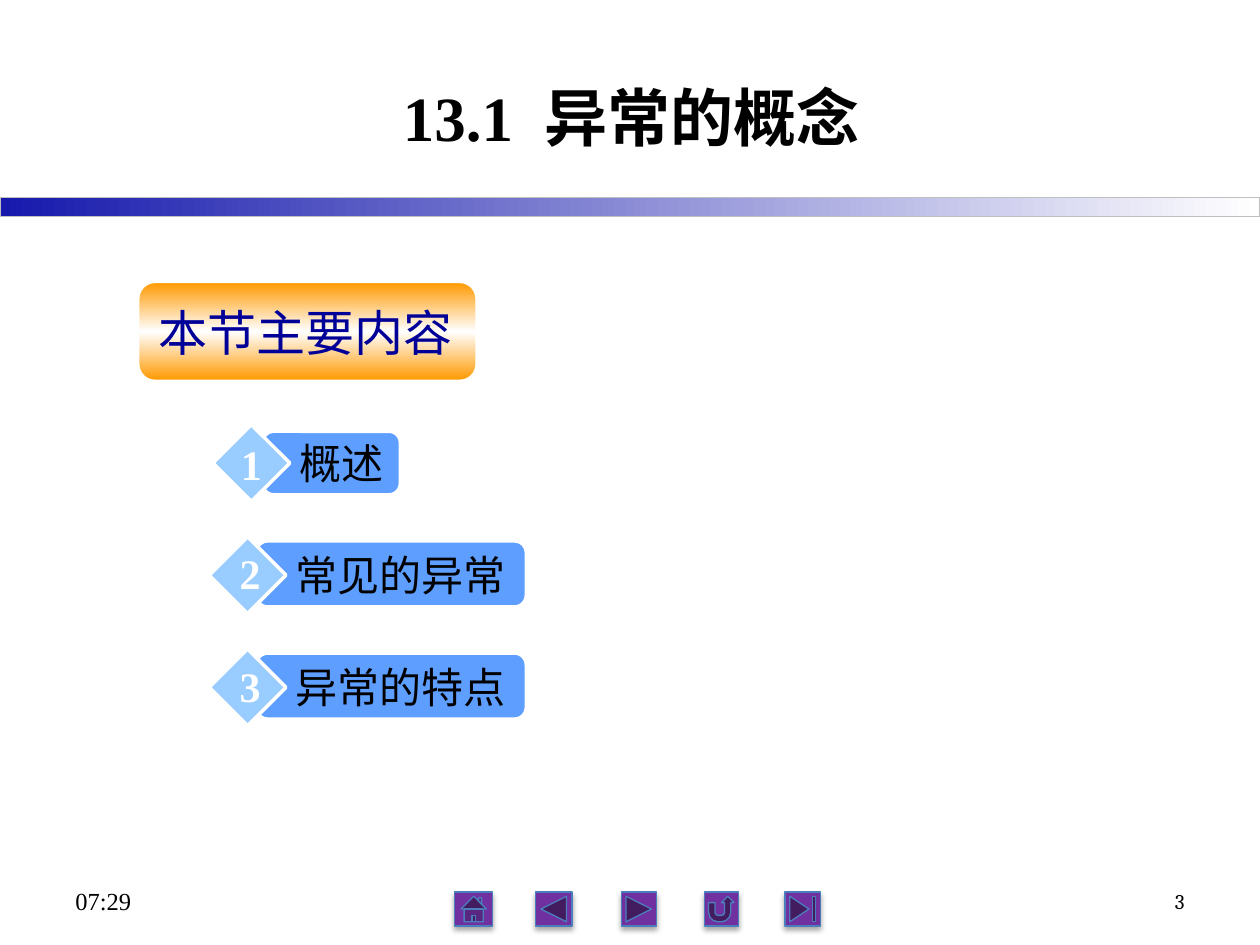
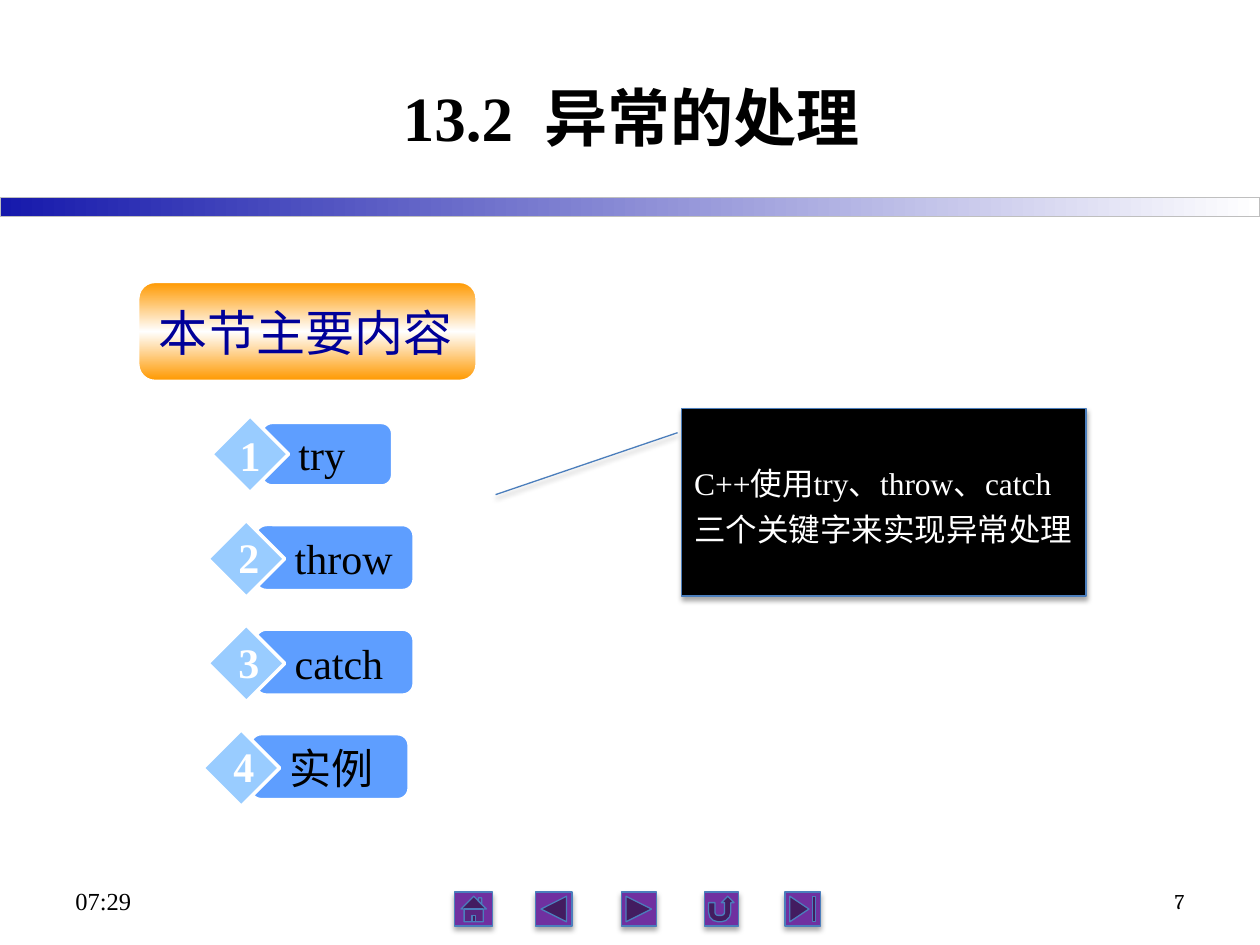
from dataclasses import dataclass
from typing import Optional

from lxml.etree import SubElement
from pptx import Presentation
from pptx.dml.color import RGBColor
from pptx.enum.shapes import MSO_SHAPE
from pptx.enum.text import MSO_ANCHOR, PP_ALIGN
from pptx.oxml.ns import qn
from pptx.shapes.autoshape import Shape
from pptx.slide import Slide, SlideLayout
from pptx.text.text import Font
from pptx.util import Inches, Pt

COLS, ROWS = 100, 75
CELL = Inches(0.1)


@dataclass(frozen=True)
class Theme:
    ink: str = "000000"
    paper: str = "FFFFFF"
    navy: str = "000099"
    band: str = "1619AC"
    edge: str = "BFBFBF"
    gold: str = "FF9900"
    bar: str = "5E9EFF"
    gem: str = "99CCFF"
    nav: str = "7030A0"
    rim: str = "4B7EBC"
    serif: str = "Times New Roman"
    sans: str = "Arial"
    han: str = "Noto Sans CJK SC"
    page: str = "Cambria"
    title: int = 36
    head: int = 28
    item: int = 24
    note: int = 18
    clock: int = 14
    small: int = 12


@dataclass(frozen=True)
class Box:
    x: float
    y: float
    w: float
    h: float


@dataclass(frozen=True)
class Item:
    label: str
    x: float
    width: float
    dip: float = 0.4


@dataclass(frozen=True)
class Topic:
    number: str
    title: str
    page: str
    top: float
    pitch: float
    items: tuple[Item, ...]
    note: Optional[str] = None


@dataclass(frozen=True)
class Button:
    kind: MSO_SHAPE
    x: float
    width: float


THEME = Theme()
HEAD = "本节主要内容"
BUTTONS = (
    Button(MSO_SHAPE.ACTION_BUTTON_HOME, 36.1, 3),
    Button(MSO_SHAPE.ACTION_BUTTON_BACK_OR_PREVIOUS, 42.5, 2.9),
    Button(MSO_SHAPE.ACTION_BUTTON_FORWARD_OR_NEXT, 49.3, 2.8),
    Button(MSO_SHAPE.ACTION_BUTTON_RETURN, 55.9, 2.7),
    Button(MSO_SHAPE.ACTION_BUTTON_END, 62.3, 2.8),
)
TOPICS = (
    Topic("13.1  ", "异常的概念", "3", 33.7, 8.9, (
        Item("概述", 16.9, 10.8, 0.6),
        Item("常见的异常", 16.6, 21.3),
        Item("异常的特点", 16.6, 21.3),
    )),
    Topic("13.2  ", "异常的处理", "7", 33, 8.3, (
        Item("try", 16.8, 10.3, 0.6),
        Item("throw", 16.5, 12.5),
        Item("catch", 16.5, 12.5),
        Item("实例", 16.1, 12.5),
    ), "C++使用try、throw、catch三个关键字来实现异常处理"),
)


def grid(box: Box) -> tuple[int, ...]:
    return tuple(round(n * CELL) for n in (box.x, box.y, box.w, box.h))


def style(font: Font, size: int, color: str, face: str = THEME.serif, bold: bool = False) -> None:
    font.size = Pt(size)
    font.name = face
    font.bold = bold
    font.color.rgb = RGBColor.from_string(color)


def draw(slide: Slide, kind: MSO_SHAPE, box: Box, fill: str, line: str, weight: float) -> Shape:
    shape = slide.shapes.add_shape(kind, *grid(box))
    shape.shadow.inherit = False
    shape.fill.solid()
    shape.fill.fore_color.rgb = RGBColor.from_string(fill)
    shape.line.color.rgb = RGBColor.from_string(line)
    shape.line.width = Pt(weight)
    return shape


def blend(shape: Shape, angle: int, *colors: str) -> None:
    shape.fill.gradient()
    shape.fill.gradient_angle = angle
    stops = shape.element.spPr.find(qn("a:gradFill")).find(qn("a:gsLst"))
    for stop in list(stops):
        stops.remove(stop)
    for i, color in enumerate(colors):
        stop = SubElement(stops, qn("a:gs"), pos=str(100000 * i // (len(colors) - 1)))
        SubElement(stop, qn("a:srgbClr"), val=color)


def shade(shape: Shape) -> None:
    effects = shape.element.spPr.find(qn("a:effectLst"))
    outer = SubElement(effects, qn("a:outerShdw"), blurRad=str(Pt(3.1)),
                       dist=str(Pt(1.8)), dir="5400000", rotWithShape="0")
    color = SubElement(outer, qn("a:srgbClr"), val=THEME.ink)
    SubElement(color, qn("a:alpha"), val="35000")


def write(slide: Slide, box: Box, words: str, size: int, color: str,
          face: str = THEME.serif, bold: bool = False,
          align: PP_ALIGN = PP_ALIGN.LEFT, anchor: MSO_ANCHOR = MSO_ANCHOR.TOP) -> Shape:
    shape = slide.shapes.add_textbox(*grid(box))
    frame = shape.text_frame
    frame.word_wrap = True
    frame.vertical_anchor = anchor
    frame.text = words
    para = frame.paragraphs[0]
    para.alignment = align
    style(para.font, size, color, face, bold)
    return shape


def frame_up(layout: SlideLayout, slide: Slide) -> None:
    band = draw(slide, MSO_SHAPE.RECTANGLE, Box(0, 15.7, COLS, 1.5), THEME.band, THEME.edge, 0.75)
    blend(band, 0, THEME.band, THEME.paper)
    shapes = [band]
    for button in BUTTONS:
        shape = draw(slide, button.kind, Box(button.x, 70.8, button.width, 2.7),
                     THEME.nav, THEME.rim, 0.75)
        shade(shape)
        shapes.append(shape)
    for i, shape in enumerate(shapes, 20):
        shape.element.nvSpPr.cNvPr.set("id", str(i))
        layout.shapes.element.append(shape.element)


def add_title(slide: Slide, topic: Topic) -> None:
    title = slide.shapes.title
    title.left, title.top, title.width, title.height = grid(Box(11.1, 3, 78, 12.5))
    title.text_frame.vertical_anchor = MSO_ANCHOR.MIDDLE
    para = title.text_frame.paragraphs[0]
    para.alignment = PP_ALIGN.CENTER
    for words, face in ((topic.number, THEME.serif), (topic.title, THEME.han)):
        run = para.add_run()
        run.text = words
        style(run.font, THEME.title, THEME.ink, face, True)


def add_head(slide: Slide) -> None:
    plate = draw(slide, MSO_SHAPE.ROUNDED_RECTANGLE, Box(11, 22.4, 26.8, 7.8),
                 THEME.gold, THEME.paper, 1)
    blend(plate, 90, THEME.gold, THEME.paper, THEME.gold)
    label = write(slide, Box(11.6, 23.1, 25.6, 5.7), HEAD, THEME.head, THEME.navy, THEME.sans)
    label.text_frame.margin_top = Inches(0.09)
    label.text_frame.margin_bottom = Inches(0.01)


def add_item(slide: Slide, item: Item, y: float, number: int) -> None:
    x, dip = item.x, item.dip
    draw(slide, MSO_SHAPE.ROUNDED_RECTANGLE, Box(x + 3.4 + dip, y + dip, item.width, 5.5 - dip),
         THEME.bar, THEME.paper, 1)
    draw(slide, MSO_SHAPE.DIAMOND, Box(x, y, 6.1, 6.1), THEME.gem, THEME.paper, 2)
    write(slide, Box(x + 5.9, y + 0.5, item.width - 1.7, 5), item.label, THEME.item, THEME.ink)
    write(slide, Box(x + 1.8 - dip, y + dip, 3.7, 5), str(number), THEME.item, THEME.paper,
          bold=True, align=PP_ALIGN.CENTER)


def add_note(slide: Slide, words: str) -> None:
    note = draw(slide, MSO_SHAPE.LINE_CALLOUT_1, Box(54.1, 32.4, 32.1, 14.9),
                THEME.ink, THEME.rim, 0.75)
    for i, value in enumerate((0.13, -0.01, 0.46, -0.46)):
        note.adjustments[i] = value
    shade(note)
    frame = note.text_frame
    frame.word_wrap = True
    frame.vertical_anchor = MSO_ANCHOR.MIDDLE
    frame.text = words
    para = frame.paragraphs[0]
    para.alignment = PP_ALIGN.LEFT
    para.line_spacing = 1.2
    style(para.font, THEME.note, THEME.paper)


def add_foot(slide: Slide, page: str) -> None:
    write(slide, Box(5, 69.5, 23.3, 4), "07:29", THEME.clock, THEME.ink,
          anchor=MSO_ANCHOR.MIDDLE)
    write(slide, Box(71.7, 69.5, 23.3, 4), page, THEME.small, THEME.ink, THEME.page,
          align=PP_ALIGN.RIGHT, anchor=MSO_ANCHOR.MIDDLE)


def add_topic(slide: Slide, topic: Topic) -> None:
    add_title(slide, topic)
    add_head(slide)
    for i, item in enumerate(topic.items):
        add_item(slide, item, topic.top + i * topic.pitch, i + 1)
    if topic.note:
        add_note(slide, topic.note)
    add_foot(slide, topic.page)


def main() -> None:
    deck = Presentation()
    deck.slide_width, deck.slide_height = COLS * CELL, ROWS * CELL
    layout = deck.slide_layouts[5]
    slides = [deck.slides.add_slide(layout) for _ in TOPICS]
    frame_up(layout, slides[0])
    for slide, topic in zip(slides, TOPICS):
        add_topic(slide, topic)
    deck.save("out.pptx")


main()
